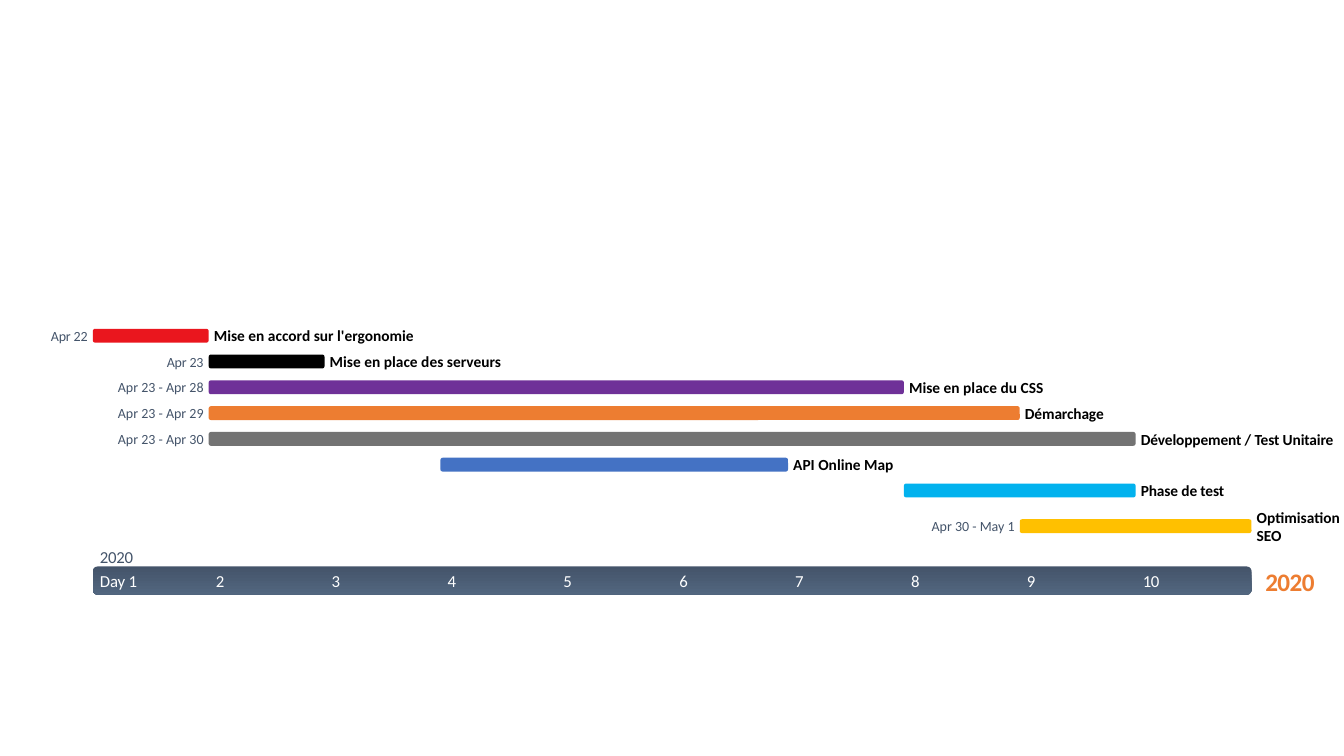
from dataclasses import dataclass
from typing import NamedTuple

from pptx import Presentation
from pptx.dml.color import RGBColor as Rgb
from pptx.enum.shapes import MSO_SHAPE as Shape
from pptx.enum.text import MSO_ANCHOR as Anchor, PP_ALIGN as Align
from pptx.util import Cm, Pt


@dataclass(frozen=True)
class Theme:
    """Font, colours and type sizes of the timeline."""
    font: str = "Calibri"
    slate: str = "44546A"
    slate_light: str = "52667F"
    orange: str = "ED7D31"
    white: str = "FFFFFF"
    black: str = "000000"
    date_size: float = 10
    task_size: float = 11
    scale_size: float = 12
    year_size: float = 18


class Task(NamedTuple):
    """A bar: first day, length in days, colour, and its two captions."""
    start: int
    days: int
    color: str
    name: str
    name_width: float
    dates: str = ""
    date_width: float = 2.2
    name_tracking: float = 0
    date_tracking: float = 0


THEME = Theme()
TASKS = [
    Task(0, 1, "EA161E", "Mise en accord sur l'ergonomie", 5.08, "Apr 22", 0.98, 0, -0.1),
    Task(1, 1, "000000", "Mise en place des serveurs", 4.37, "Apr 23", 0.98, 0, -0.1),
    Task(1, 6, "6F3198", "Mise en place du CSS", 3.4, "Apr 23 - Apr 28"),
    Task(1, 7, THEME.orange, "Démarchage", 2.08, "Apr 23 - Apr 29", name_tracking=-0.1),
    Task(1, 8, "737373", "Développement / Test Unitaire", 5, "Apr 23 - Apr 30",
         name_tracking=-0.1),
    Task(3, 3, "4472C4", "API Online Map", 2.65),
    Task(7, 2, "02B2EE", "Phase de test", 2.18, name_tracking=-0.1),
    Task(8, 2, "FFC000", "Optimisation SEO", 2.18, "Apr 30 - May 1", 2.13),
]

# Lengths in centimetres
LEFT, DAY, DAY_COUNT = 2.34, 2.92, 10
FIRST_MIDDLE, ROW_PITCH, BAR_HEIGHT = 8.46, 0.65, 0.35
TWO_LINE_EXTRA = 0.25
BAND_MIDDLE, BAND_HEIGHT = 14.63, 0.71
CAPTION_GAP, SCALE_INDENT = 0.13, 0.18
LINE_HEIGHT = 0.48


def set_all(target, values):
    """Set every attribute named in values on target."""
    for name, value in values.items():
        setattr(target, name, value)


def add_text(page, text, left, middle, width, size, color,
             align=Align.LEFT, bold=False, tracking=0, height=LINE_HEIGHT):
    """Add a text box without margins, centred on the height middle."""
    box = page.shapes.add_textbox(Cm(left), Cm(middle - height / 2), Cm(width), Cm(height))
    set_all(box.text_frame, {
        "margin_left": 0, "margin_right": 0, "margin_top": 0, "margin_bottom": 0,
        "word_wrap": True, "vertical_anchor": Anchor.MIDDLE,
    })
    para = box.text_frame.paragraphs[0]
    para.alignment = align
    span = para.add_run()
    span.text = text
    set_all(span.font, {"name": THEME.font, "size": Pt(size), "bold": bold})
    span.font.color.rgb = Rgb.from_string(color)
    if tracking:
        span.font._element.set("spc", str(round(tracking * 100)))


def add_bar(page, left, middle, width, height, *colors):
    """Add a rounded bar, plain for one colour or shaded downwards for two."""
    bar = page.shapes.add_shape(Shape.ROUNDED_RECTANGLE, Cm(left), Cm(middle - height / 2),
                                Cm(width), Cm(height))
    bar.shadow.inherit = False
    bar.line.fill.background()
    if len(colors) == 1:
        bar.fill.solid()
        bar.fill.fore_color.rgb = Rgb.from_string(colors[0])
        return
    bar.fill.gradient()
    bar.fill.gradient_angle = 270
    for stop, color in zip(bar.fill.gradient_stops, colors):
        stop.color.rgb = Rgb.from_string(color)


def add_scale(page):
    """Add the band of days with the year above it and at its end."""
    width = DAY * DAY_COUNT
    add_text(page, "2020", LEFT + width + 0.33, BAND_MIDDLE + 0.02, 1.28, THEME.year_size,
             THEME.orange, Align.CENTER, True, -0.4, 0.79)
    add_bar(page, LEFT, BAND_MIDDLE, width, BAND_HEIGHT, THEME.slate, THEME.slate_light)
    for day in range(DAY_COUNT):
        label, tracking = (str(day + 1), -0.3) if day else ("Day 1", -0.1)
        add_text(page, label, LEFT + day * DAY + SCALE_INDENT, BAND_MIDDLE, 1,
                 THEME.scale_size, THEME.white, tracking=tracking)
    add_text(page, "2020", LEFT + SCALE_INDENT, 14.02, 0.9, THEME.scale_size,
             THEME.slate, tracking=-0.2)


def add_task(page, task, middle, height):
    """Add a task bar with its dates before it and its name after it."""
    left, width = LEFT + task.start * DAY, task.days * DAY
    add_bar(page, left, middle, width, BAR_HEIGHT, task.color)
    if task.dates:
        add_text(page, task.dates, left - CAPTION_GAP - task.date_width, middle,
                 task.date_width, THEME.date_size, THEME.slate, Align.RIGHT,
                 tracking=task.date_tracking)
    add_text(page, task.name, left + width + CAPTION_GAP, middle, task.name_width,
             THEME.task_size, THEME.black, bold=True, tracking=task.name_tracking,
             height=height)


def main():
    """Build the project timeline and save it."""
    deck = Presentation()
    set_all(deck, {"slide_width": Cm(33.87), "slide_height": Cm(19.05)})
    page = deck.slides.add_slide(deck.slide_layouts[6])
    add_scale(page)
    for row, task in enumerate(TASKS):
        is_last = row == len(TASKS) - 1
        middle = FIRST_MIDDLE + row * ROW_PITCH + TWO_LINE_EXTRA * is_last
        add_task(page, task, middle, LINE_HEIGHT * (1 + is_last))
    deck.save("out.pptx")


main()
